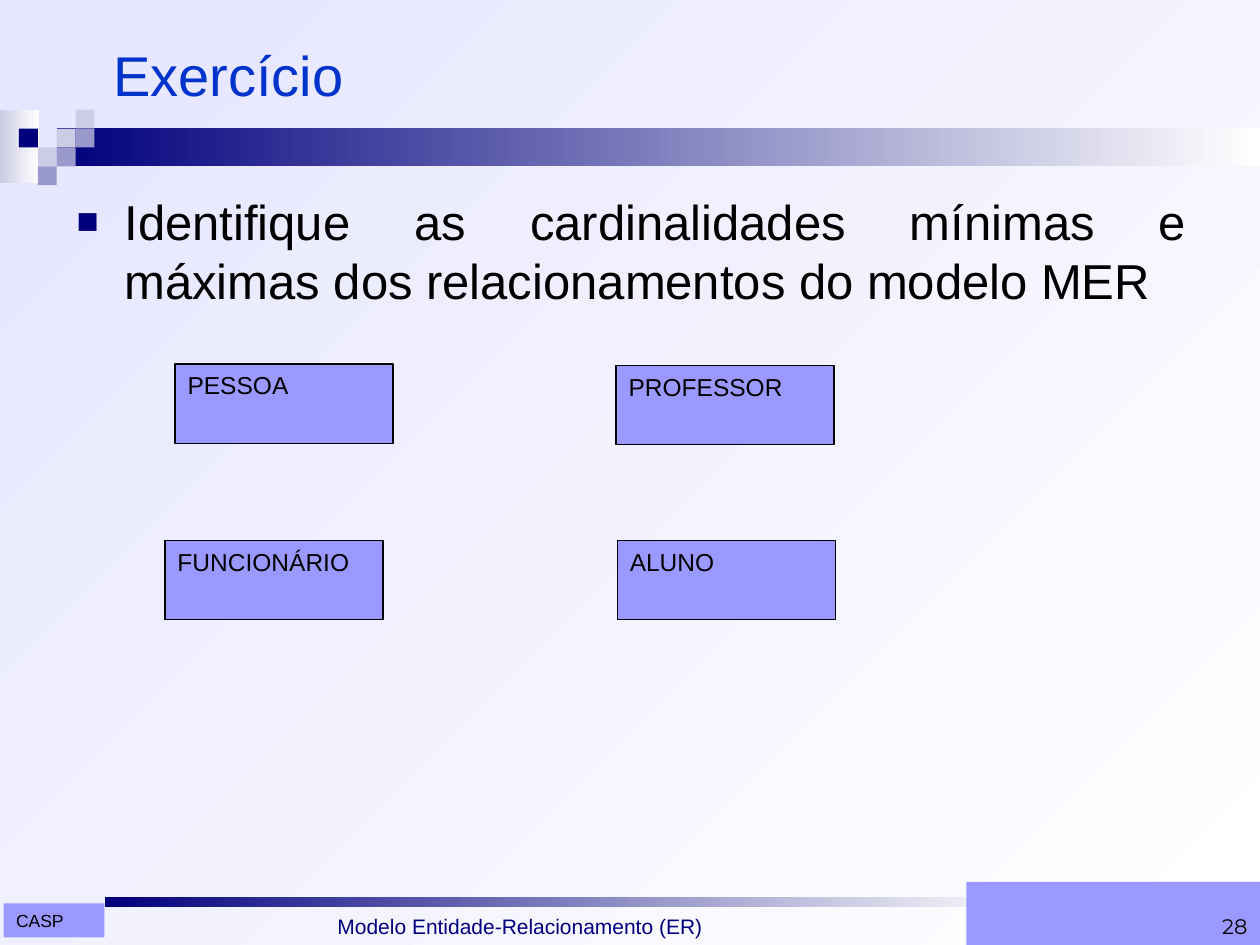
"""Build the "Exercício" slide on entity cardinalities."""
from lxml import etree
from pptx import Presentation
from pptx.dml.color import RGBColor
from pptx.enum import shapes, text
from pptx.oxml import ns
from pptx.util import Inches, Pt

NAVY = RGBColor(0x00, 0x00, 0x7D)
BLUE = RGBColor(0x00, 0x33, 0xCC)
PERIWINKLE = RGBColor(0x99, 0x99, 0xFF)
GREY_BLUE = RGBColor(0x99, 0x99, 0xCC)
PALE = RGBColor(0xCC, 0xCC, 0xE6)
LAVENDER = RGBColor(0xE5, 0xE5, 0xFF)
WHITE = RGBColor(0xFF, 0xFF, 0xFF)
BLACK = RGBColor(0x00, 0x00, 0x00)

TITLE = "Exercício"
QUESTION = "Identifique as cardinalidades mínimas e máximas dos relacionamentos do modelo MER"
FOOTER = "Modelo Entidade-Relacionamento (ER)"
AUTHOR = "CASP"
PAGE_NUMBER = "28"

ENTITY_SIZE = (1.73, 0.63)
ENTITIES = [
    ("PESSOA", 1.39, 2.89),
    ("FUNCIONÁRIO", 1.31, 4.29),
    ("PROFESSOR", 4.89, 2.9),
    ("ALUNO", 4.9, 4.29),
]
HEADER_BANDS = [((0, 0.87, 0.31, 0.58), PALE), ((0.45, 1.02, 9.55, 0.3), NAVY)]
FOOTER_BAND = ((0.83, 7.12, 7.38, 0.08), NAVY)
MOSAIC_ORIGIN = (0.15, 0.87)
TILE = 0.15
MOSAIC = [
    (2, 1, PALE), (3, 0, PALE), (3, 1, GREY_BLUE), (1, 2, PALE),
    (0, 1, NAVY), (2, 2, GREY_BLUE), (1, 3, GREY_BLUE),
]


def set_gradient(fill, start, end, angle):
    fill.gradient()
    fill.gradient_angle = angle
    for stop, color in zip(fill.gradient_stops, (start, end)):
        stop.color.rgb = color


def add_rectangle(slide, box, color, outlined=False):
    shape = slide.shapes.add_shape(shapes.MSO_SHAPE.RECTANGLE, *map(Inches, box))
    shape.shadow.inherit = False
    shape.fill.solid()
    shape.fill.fore_color.rgb = color
    if outlined:
        shape.line.color.rgb = BLACK
        shape.line.width = Pt(0.75)
    else:
        shape.line.fill.background()
    return shape


def add_band(slide, box, color):
    shape = add_rectangle(slide, box, color)
    set_gradient(shape.fill, color, WHITE, 0)


def add_text_box(slide, box):
    return slide.shapes.add_textbox(*map(Inches, box))


def write(shape, content, size, color=BLACK, font="Arial",
          anchor=text.MSO_ANCHOR.TOP, align=text.PP_ALIGN.LEFT):
    frame = shape.text_frame
    frame.word_wrap = True
    frame.vertical_anchor = anchor
    paragraph = frame.paragraphs[0]
    paragraph.alignment = align
    run = paragraph.add_run()
    run.text = content
    run.font.size = Pt(size)
    run.font.name = font
    run.font.color.rgb = color
    return paragraph


def add_bullet(paragraph, indent):
    properties = paragraph._p.get_or_add_pPr()
    properties.set("marL", str(Inches(indent)))
    properties.set("indent", str(-Inches(indent)))
    bullet_color = etree.SubElement(properties, ns.qn("a:buClr"))
    etree.SubElement(bullet_color, ns.qn("a:srgbClr"), val=str(NAVY))
    etree.SubElement(properties, ns.qn("a:buSzPct"), val="75000")
    etree.SubElement(properties, ns.qn("a:buFont"), typeface="Arial")
    etree.SubElement(properties, ns.qn("a:buChar"), char="■")


def main():
    presentation = Presentation()
    presentation.slide_width, presentation.slide_height = Inches(10), Inches(7.5)
    slide = presentation.slides.add_slide(presentation.slide_layouts[6])
    set_gradient(slide.background.fill, LAVENDER, WHITE, 315)

    for box, color in HEADER_BANDS:
        add_band(slide, box, color)
    left, top = MOSAIC_ORIGIN
    for column, row, color in MOSAIC:
        add_rectangle(slide, (left + column * TILE, top + row * TILE, TILE, TILE), color)

    add_band(slide, *FOOTER_BAND)
    write(add_rectangle(slide, (0.03, 7.17, 0.8, 0.27), PERIWINKLE), AUTHOR, 10)
    write(add_text_box(slide, (2.58, 6.98, 4.62, 0.52)), FOOTER, 12, NAVY,
          anchor=text.MSO_ANCHOR.BOTTOM)
    write(add_rectangle(slide, (7.67, 7, 2.33, 0.5), PERIWINKLE), PAGE_NUMBER, 12,
          font="Montserrat", anchor=text.MSO_ANCHOR.BOTTOM, align=text.PP_ALIGN.RIGHT)

    write(add_text_box(slide, (0.8, 0.13, 9, 0.91)), TITLE, 32, BLUE,
          anchor=text.MSO_ANCHOR.MIDDLE)
    question = write(add_text_box(slide, (0.51, 1.47, 9, 1.18)), QUESTION, 28,
                     align=text.PP_ALIGN.JUSTIFY)
    add_bullet(question, 0.38)

    for name, left, top in ENTITIES:
        entity = add_rectangle(slide, (left, top, *ENTITY_SIZE), PERIWINKLE, outlined=True)
        write(entity, name, 14)

    presentation.save("out.pptx")


if __name__ == "__main__":
    main()
